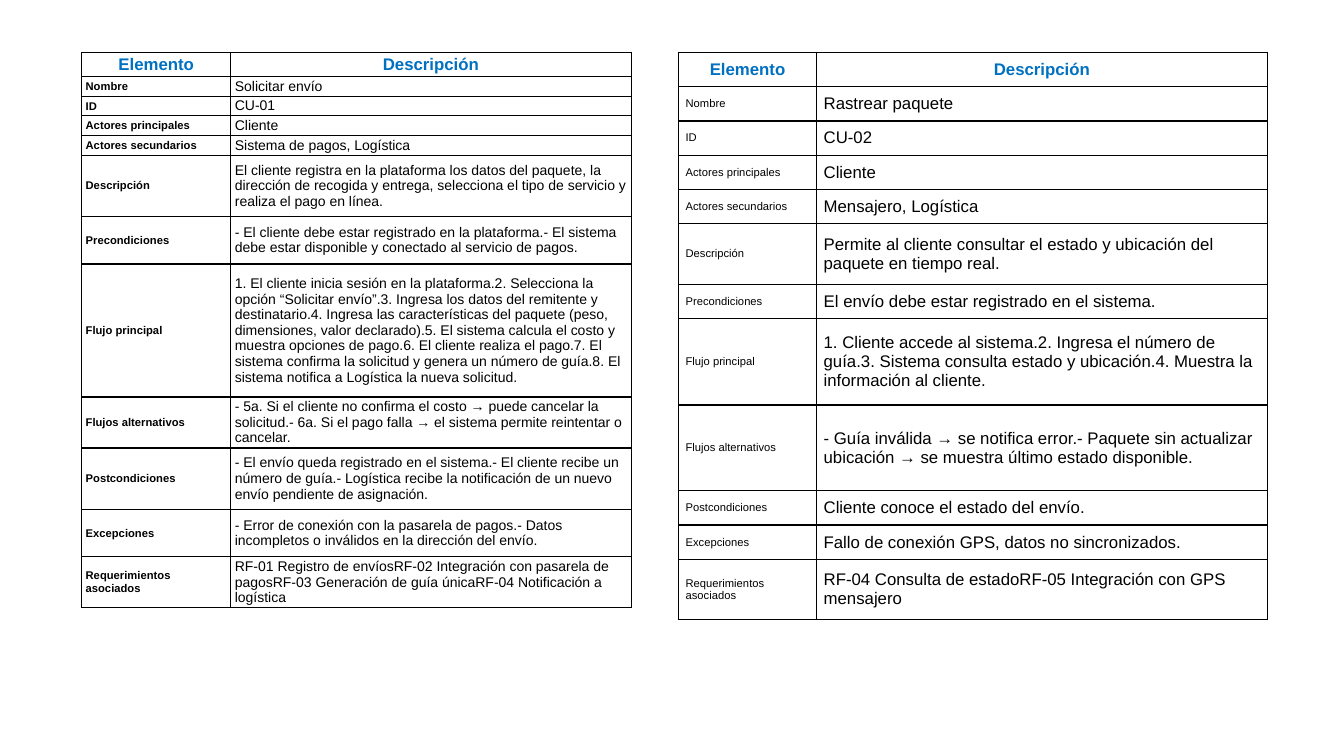
from lxml.etree import SubElement
from pptx import Presentation
from pptx.dml.color import RGBColor
from pptx.enum.text import MSO_ANCHOR, PP_ALIGN
from pptx.oxml.ns import qn
from pptx.util import Pt

PX = 9144  # 100 px to the inch
BLUE = RGBColor(0x00, 0x70, 0xC0)
BLACK = RGBColor(0x00, 0x00, 0x00)

HEAD = ("Elemento", "Descripción")
LABELS = (
    "Nombre", "ID", "Actores principales", "Actores secundarios",
    "Descripción", "Precondiciones", "Flujo principal",
    "Flujos alternativos", "Postcondiciones", "Excepciones",
    "Requerimientos asociados",
)

# Text of each use case, in the order of the labels
ORDER = (
    "Solicitar envío",
    "CU-01",
    "Cliente",
    "Sistema de pagos, Logística",
    "El cliente registra en la plataforma los datos del paquete, la "
    "dirección de recogida y entrega, selecciona el tipo de servicio y "
    "realiza el pago en línea.",
    "- El cliente debe estar registrado en la plataforma.- El sistema "
    "debe estar disponible y conectado al servicio de pagos.",
    "1. El cliente inicia sesión en la plataforma.2. Selecciona la "
    "opción “Solicitar envío”.3. Ingresa los datos del remitente y "
    "destinatario.4. Ingresa las características del paquete (peso, "
    "dimensiones, valor declarado).5. El sistema calcula el costo y "
    "muestra opciones de pago.6. El cliente realiza el pago.7. El "
    "sistema confirma la solicitud y genera un número de guía.8. El "
    "sistema notifica a Logística la nueva solicitud.",
    "- 5a. Si el cliente no confirma el costo → puede cancelar la "
    "solicitud.- 6a. Si el pago falla → el sistema permite reintentar o "
    "cancelar.",
    "- El envío queda registrado en el sistema.- El cliente recibe un "
    "número de guía.- Logística recibe la notificación de un nuevo "
    "envío pendiente de asignación.",
    "- Error de conexión con la pasarela de pagos.- Datos "
    "incompletos o inválidos en la dirección del envío.",
    "RF-01 Registro de envíosRF-02 Integración con pasarela de "
    "pagosRF-03 Generación de guía únicaRF-04 Notificación a logística",
)
TRACK = (
    "Rastrear paquete",
    "CU-02",
    "Cliente",
    "Mensajero, Logística",
    "Permite al cliente consultar el estado y ubicación del paquete en "
    "tiempo real.",
    "El envío debe estar registrado en el sistema.",
    "1. Cliente accede al sistema.2. Ingresa el número de guía.3. Sistema "
    "consulta estado y ubicación.4. Muestra la información al cliente.",
    "- Guía inválida → se notifica error.- Paquete sin actualizar "
    "ubicación → se muestra último estado disponible.",
    "Cliente conoce el estado del envío.",
    "Fallo de conexión GPS, datos no sincronizados.",
    "RF-04 Consulta de estadoRF-05 Integración con GPS mensajero",
)


def add_edges(cell):
    """Draw a black 1 pt line on all four sides."""
    props = cell._tc.get_or_add_tcPr()
    for side in ("lnL", "lnR", "lnT", "lnB"):
        line = SubElement(props, qn(f"a:{side}"), w=str(Pt(1)))
        fill = SubElement(line, qn("a:solidFill"))
        SubElement(fill, qn("a:srgbClr"), val=str(BLACK))


def fill_cell(cell, text, size, inset, bold=False, color=BLACK, align=None):
    add_edges(cell)
    cell.fill.background()
    cell.vertical_anchor = MSO_ANCHOR.MIDDLE
    side, top = inset
    cell.margin_left = cell.margin_right = side * PX
    cell.margin_top = cell.margin_bottom = top * PX
    para = cell.text_frame.paragraphs[0]
    para.text = text
    para.alignment = align
    font = para.runs[0].font
    font.name = "Arial"
    font.size = Pt(size)
    font.bold = bold
    font.color.rgb = color


def add_case(slide, box, cols, rows, texts, size, inset, bold):
    """Add one use case table: a header, then a label and text per row."""
    frame = slide.shapes.add_table(len(rows), 2, *[n * PX for n in box])
    table = frame.table
    table.first_row = table.horz_banding = False
    for col, width in zip(table.columns, cols):
        col.width = width * PX
    for row, height in zip(table.rows, rows):
        row.height = height * PX
    frame.height = box[3] * PX

    # Header
    for i, text in enumerate(HEAD):
        fill_cell(table.cell(0, i), text, 12, inset, True, BLUE,
                  PP_ALIGN.CENTER)
    # Body
    for i, (label, text) in enumerate(zip(LABELS, texts), 1):
        fill_cell(table.cell(i, 0), label, 8, inset, bold)
        fill_cell(table.cell(i, 1), text, size, inset)


def main():
    deck = Presentation()
    deck.slide_width = 1333 * PX
    deck.slide_height = 750 * PX
    slide = deck.slides.add_slide(deck.slide_layouts[6])

    # Left: request a shipment
    add_case(slide, (81, 52, 545, 561), (148, 397),
             (24, 19, 19, 19, 19, 61, 47, 132, 47, 61, 47, 47),
             ORDER, 10, (4, 2), True)
    # Right: track a parcel
    add_case(slide, (673, 52, 584, 568), (137, 447),
             (34, 34, 34, 34, 34, 60, 34, 86, 85, 34, 34, 60),
             TRACK, 12, (7, 3), False)
    deck.save("out.pptx")


if __name__ == "__main__":
    main()
